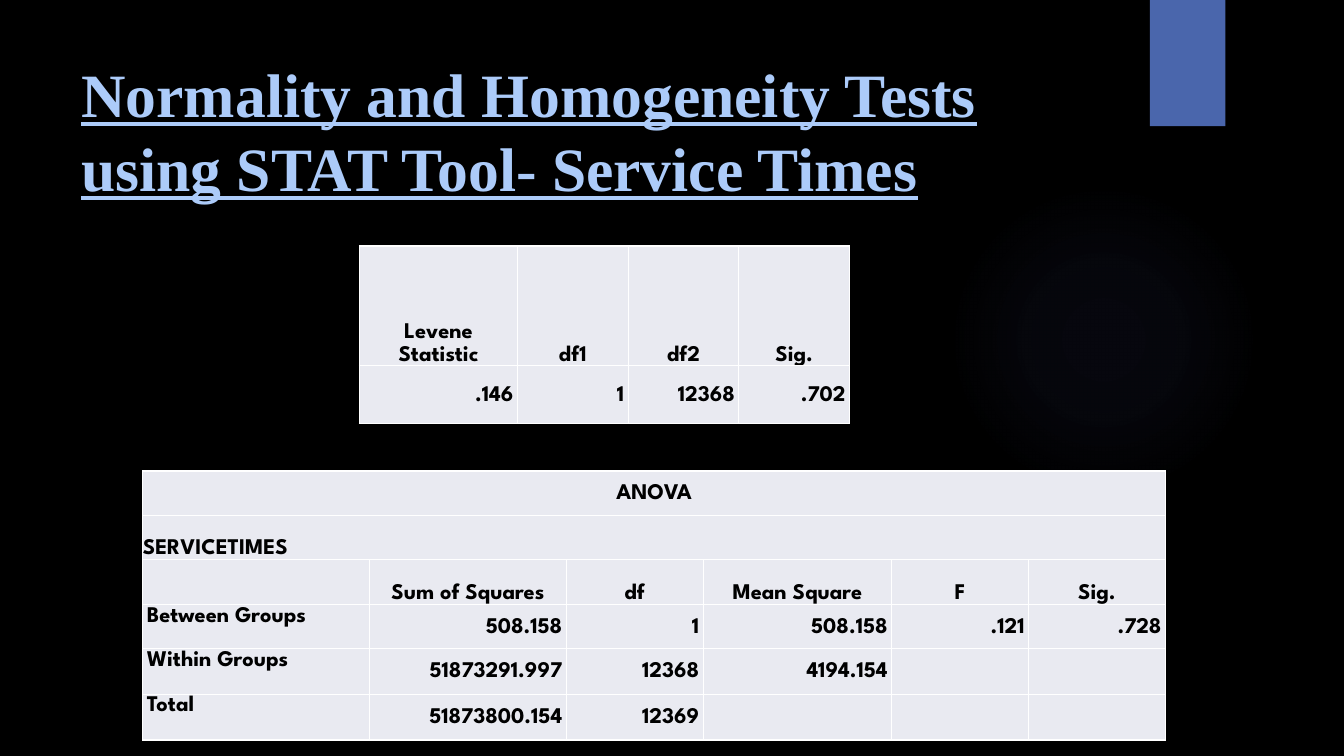
from dataclasses import dataclass

from lxml.etree import SubElement
from pptx import Presentation
from pptx.dml.color import RGBColor as RGB
from pptx.enum.shapes import MSO_SHAPE as SHAPE
from pptx.enum.text import MSO_ANCHOR as ANCHOR, PP_ALIGN as ALIGN
from pptx.oxml import parse_xml
from pptx.oxml.ns import nsdecls, qn
from pptx.util import Cm, Pt


@dataclass(frozen=True)
class Theme:
    """Colours, fonts and type sizes of the slide."""
    back: str = "000000"
    accent: str = "4A66AC"
    glow: str = "5C64B7"
    title: str = "ACCBF9"
    cell: str = "E9EAF1"
    border: str = "FFFFFF"
    text: str = "000000"
    title_font: str = "Times New Roman"
    table_font: str = "League Spartan"
    title_size: int = 44
    title_leading: int = 53
    table_size: int = 16


CELL_KINDS = {
    "caption": (ALIGN.CENTER, ANCHOR.MIDDLE, 0.1),
    "variable": (ALIGN.LEFT, ANCHOR.BOTTOM, 0),
    "head": (ALIGN.CENTER, ANCHOR.BOTTOM, 0.1),
    "label": (ALIGN.LEFT, ANCHOR.TOP, 0.1),
    "number": (ALIGN.RIGHT, ANCHOR.MIDDLE, 0.1),
}


class Deck:
    """Holds the theme and the current slide and draws on it."""

    def __init__(self, theme):
        """Open a wide presentation with one dark slide."""
        self.theme = theme
        self.prs = Presentation()
        self.prs.slide_width, self.prs.slide_height = Cm(33.87), Cm(19.05)
        self.s = self.prs.slides.add_slide(self.prs.slide_layouts[6])
        fill = self.s.background.fill
        fill.solid()
        fill.fore_color.rgb = RGB.from_string(theme.back)

    def shape(self, kind, *box):
        """Add a plain accent shape without outline."""
        sp = self.s.shapes.add_shape(kind, *map(Cm, box))
        sp.shadow.inherit = False
        sp.line.fill.background()
        sp.fill.solid()
        sp.fill.fore_color.rgb = RGB.from_string(self.theme.accent)
        return sp

    def glow(self, *box):
        """Add a round glow that fades towards its edge."""
        sp = self.shape(SHAPE.OVAL, *box)
        stops = "".join(
            f'<a:gs pos="{pos * 1000}"><a:srgbClr val="{self.theme.glow}">'
            f'<a:alpha val="{alpha * 1000}"/></a:srgbClr></a:gs>'
            for pos, alpha in ((0, 7), (36, 6), (69, 0)))
        grad = parse_xml(
            f'<a:gradFill {nsdecls("a")}><a:gsLst>{stops}</a:gsLst>'
            '<a:path path="circle"><a:fillToRect l="50000" t="50000" '
            'r="50000" b="50000"/></a:path></a:gradFill>')
        props = sp.element.spPr
        props.replace(props.find(qn("a:solidFill")), grad)

    def style(self, p, font, size, color):
        """Format the runs of a paragraph in bold."""
        for r in p.runs:
            r.font.name, r.font.size, r.font.bold = font, Pt(size), True
            r.font.color.rgb = RGB.from_string(color)

    def title(self, text, *box):
        """Add the underlined slide title."""
        t = self.theme
        tf = self.s.shapes.add_textbox(*map(Cm, box)).text_frame
        tf.word_wrap = True
        tf.text = text
        p = tf.paragraphs[0]
        p.line_spacing = Pt(t.title_leading)
        self.style(p, t.title_font, t.title_size, t.title)
        p.runs[0].font.underline = True

    def cell(self, cell, kind, text):
        """Fill one table cell, with borders and the layout of its kind."""
        t = self.theme
        align, anchor, indent = CELL_KINDS[kind]
        cell.margin_left = cell.margin_right = 0
        cell.margin_top = cell.margin_bottom = 0
        cell.vertical_anchor = anchor
        props = cell._tc.get_or_add_tcPr()
        for side in ("lnL", "lnR", "lnT", "lnB"):
            ln = SubElement(props, qn(f"a:{side}"), w=str(Pt(1)))
            SubElement(SubElement(ln, qn("a:solidFill")),
                       qn("a:srgbClr"), val=t.border)
        cell.fill.solid()
        cell.fill.fore_color.rgb = RGB.from_string(t.cell)
        cell.text_frame.text = text
        p = cell.text_frame.paragraphs[0]
        p.alignment, p.line_spacing = align, Pt(t.table_size)
        for margin in ("marL", "marR"):
            p._p.get_or_add_pPr().set(margin, str(Cm(indent)))
        self.style(p, t.table_font, t.table_size, t.text)

    def table(self, left, top, widths, rows):
        """Add a table; a row with a single text spans all columns."""
        heights = [row[0] for row in rows]
        tbl = self.s.shapes.add_table(
            len(rows), len(widths), Cm(left), Cm(top),
            Cm(sum(widths)), Cm(sum(heights))).table
        tbl.first_row = tbl.horz_banding = False
        for col, width in zip(tbl.columns, widths):
            col.width = Cm(width)
        for i, (height, kinds, texts) in enumerate(rows):
            tbl.rows[i].height = Cm(height)
            if len(texts) == 1:
                tbl.cell(i, 0).merge(tbl.cell(i, len(widths) - 1))
            for j in range(len(widths)):
                text = texts[j] if j < len(texts) else ""
                self.cell(tbl.cell(i, j), kinds[min(j, len(kinds) - 1)], text)


def main():
    """Build the slide and save it."""
    deck = Deck(Theme())
    deck.glow(23.9, 4.65, 7.82, 7.82)
    deck.shape(SHAPE.RECTANGLE, 28.98, 0, 1.9, 3.18)
    deck.title("Normality and Homogeneity Tests using STAT Tool- Service Times",
               1.8, 1.27, 26.14, 3.89)
    data = ("label", "number")
    deck.table(3.6, 11.87, (5.72, 4.95, 3.45, 4.75, 3.45, 3.45), [
        (1.11, ("caption",), ("ANOVA",)),
        (1.11, ("variable",), ("SERVICETIMES",)),
        (1.15, ("head",),
         ("", "Sum of Squares", "df", "Mean Square", "F", "Sig.")),
        (1.11, data,
         ("Between Groups", "508.158", "1", "508.158", ".121", ".728")),
        (1.15, data, ("Within Groups", "51873291.997", "12368", "4194.154")),
        (1.15, data, ("Total", "51873800.154", "12369")),
    ])
    deck.table(9.06, 6.2, (3.98, 2.79, 2.79, 2.79), [
        (3.02, ("head",), ("Levene Statistic", "df1", "df2", "Sig.")),
        (1.46, ("number",), (".146", "1", "12368", ".702")),
    ])
    deck.prs.save("out.pptx")


if __name__ == "__main__":
    main()
